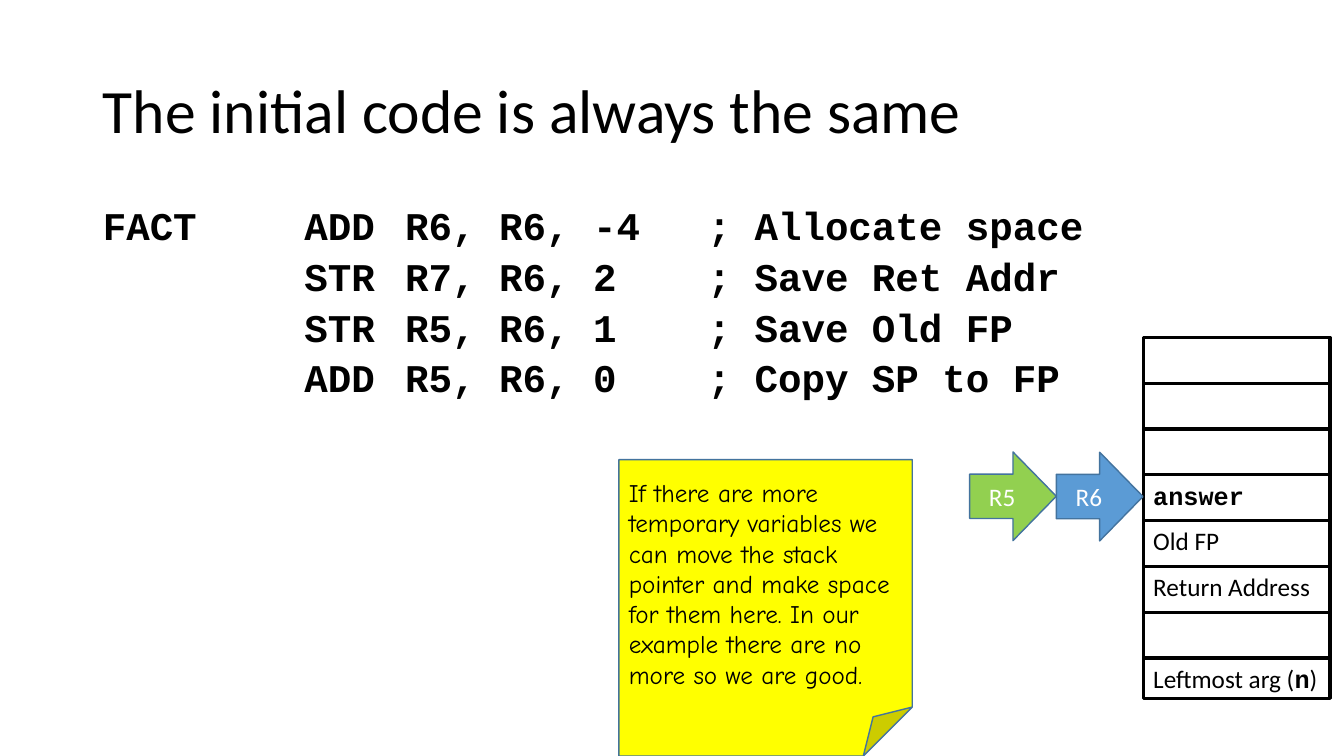
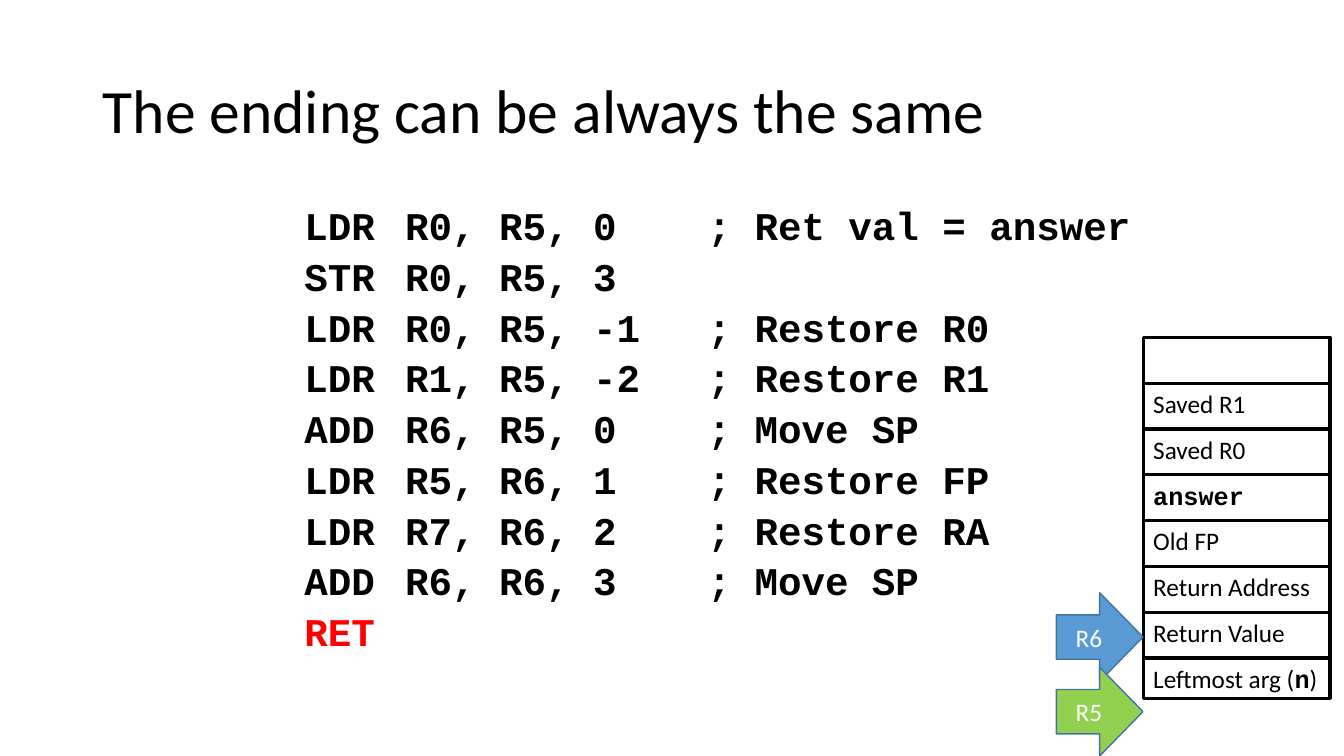
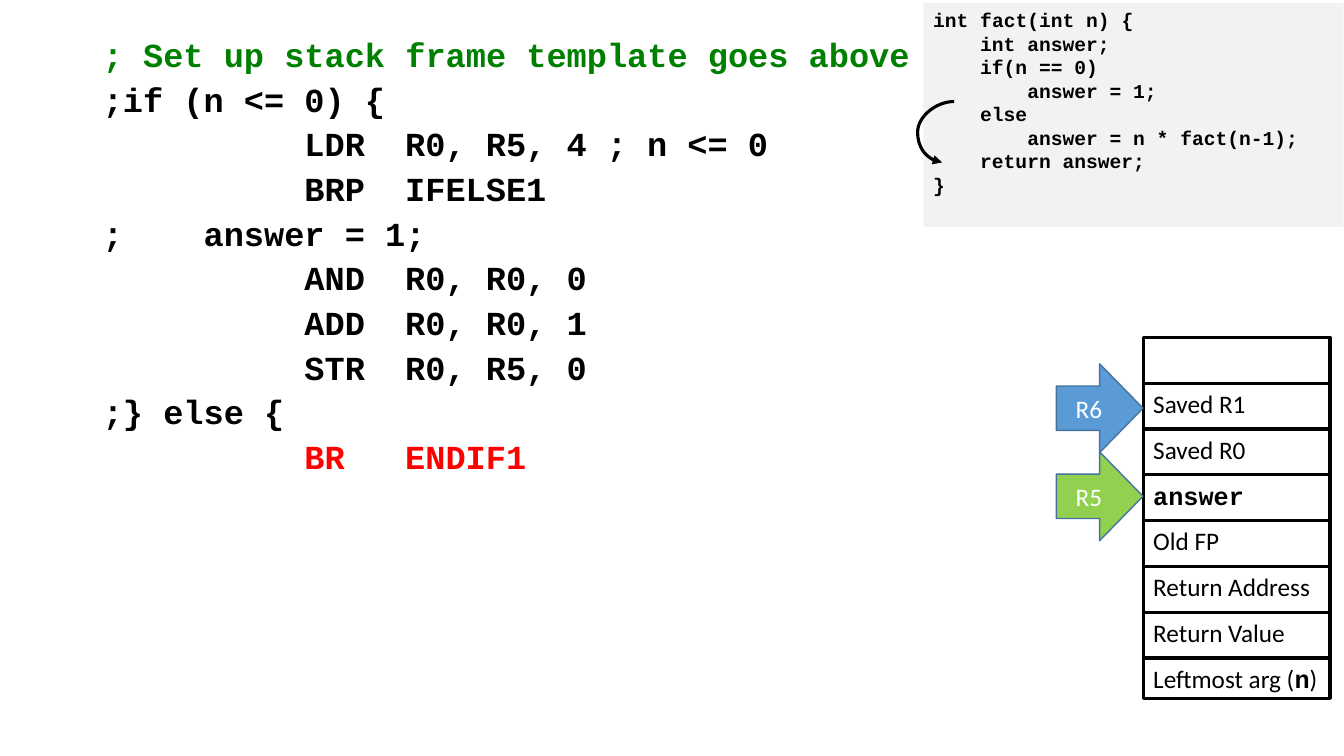
from lxml import etree
from pptx import Presentation
from pptx.dml.color import RGBColor
from pptx.enum.shapes import MSO_CONNECTOR, MSO_SHAPE
from pptx.enum.text import MSO_ANCHOR, MSO_AUTO_SIZE, PP_ALIGN
from pptx.oxml.ns import qn
from pptx.util import Pt

RECT, ARROW, NOTE = MSO_SHAPE.RECTANGLE, MSO_SHAPE.RIGHT_ARROW, MSO_SHAPE.FOLDED_CORNER
CURVE = MSO_CONNECTOR.CURVE
TOP, MIDDLE = MSO_ANCHOR.TOP, MSO_ANCHOR.MIDDLE
LEFT, CENTER = PP_ALIGN.LEFT, PP_ALIGN.CENTER
NO_FIT = MSO_AUTO_SIZE.NONE

BLACK = RGBColor(0x00, 0x00, 0x00)
WHITE = RGBColor(0xFF, 0xFF, 0xFF)
RED = RGBColor(0xFF, 0x00, 0x00)
CODE_GREEN = RGBColor(0x00, 0x80, 0x00)
POINTER_BLUE = RGBColor(0x5B, 0x9B, 0xD5)
POINTER_GREEN = RGBColor(0x92, 0xD0, 0x50)
OUTLINE = RGBColor(0x43, 0x73, 0x9E)
NOTE_YELLOW = RGBColor(0xFF, 0xFF, 0x00)
PANEL_GREY = RGBColor(0xF2, 0xF2, 0xF2)

SANS, MONO, HAND = "Calibri", "Courier New", "Comic Neue"
CODE = {"font": MONO, "bold": True}

# A line is a string or a list of (text, format) runs.
ANSWER = [("answer", CODE)]
LEFTMOST = ["Leftmost arg (", ("n", CODE), ")"]
EMPTY_FRAME = ["", "", "", ANSWER, "Old FP", "Return Address", "", LEFTMOST]
FULL_FRAME = ["", "Saved R1", "Saved R0", ANSWER, "Old FP", "Return Address",
              "Return Value", LEFTMOST]

NOTE_TEXT = ("If there are more temporary variables we can move the stack pointer and "
             "make space for them here. In our example there are no more so we are good.")

C_SOURCE = [  # indent level, statement
    (0, "int fact(int n) {"),
    (1, "int answer;"),
    (1, "if(n == 0)"),
    (2, "answer = 1;"),
    (1, "else"),
    (2, "answer = n * fact(n-1);"),
    (1, "return answer;"),
    (0, "}"),
]

# Pointers are (label, colour, left, top).
NEAR, FAR = 754.56, 692.64
SLIDES = [
    {
        "title": "The initial code is always the same",
        "body_box": (66.24, 144, 735.84, 342.72), "size": 28,
        "code": [
            "FACT\t\tADD\tR6, R6, -4\t; Allocate space",
            "\t\tSTR\tR7, R6, 2\t; Save Ret Addr",
            "\t\tSTR\tR5, R6, 1\t; Save Old FP",
            "\t\tADD\tR5, R6, 0\t; Copy SP to FP",
        ],
        "stack": EMPTY_FRAME,
        "pointers": [("R6", POINTER_BLUE, NEAR, 323),
                     ("R5", POINTER_GREEN, FAR, 322.8)],
    },
    {
        "title": "The ending can be always the same",
        "body_box": (66.24, 144, 803.52, 341.28), "size": 28,
        "code": [
            "\t\tLDR\tR0, R5, 0\t; Ret val = answer",
            "\t\tSTR\tR0, R5, 3",
            "\t\tLDR\tR0, R5, -1\t; Restore R0",
            "\t\tLDR\tR1, R5, -2\t; Restore R1",
            "\t\tADD\tR6, R5, 0\t; Move SP",
            "\t\tLDR\tR5, R6, 1\t; Restore FP",
            "\t\tLDR\tR7, R6, 2\t; Restore RA",
            "\t\tADD\tR6, R6, 3\t; Move SP",
            ["\t\t", ("RET", {"color": RED})],
        ],
        "stack": FULL_FRAME,
        "pointers": [("R6", POINTER_BLUE, NEAR, 423.36),
                     ("R5", POINTER_GREEN, NEAR, 476.64)],
    },
    {
        "title": None,
        "body_box": (66.24, 23.76, 626.4, 495.36), "size": 24,
        "code": [
            [("; Set up stack frame template goes above", {"color": CODE_GREEN})],
            ";if (n <= 0) {",
            "\t\tLDR\tR0, R5, 4\t; n <= 0",
            "\t\tBRP\tIFELSE1",
            ";\tanswer = 1;",
            "\t\tAND\tR0, R0, 0",
            "\t\tADD\tR0, R0, 1",
            "\t\tSTR\tR0, R5, 0",
            ";} else {",
            ["\t\t", ("BR\tENDIF1", {"color": RED})],
        ],
        "stack": FULL_FRAME,
        "pointers": [("R6", POINTER_BLUE, NEAR, 259.92),
                     ("R5", POINTER_GREEN, NEAR, 322.8)],
    },
]

TITLE_BOX = (66.24, 28.8, 735.84, 104.4)
STACK_LEFT, STACK_TOP, CELL_WIDTH, CELL_PITCH, LAST_HEIGHT = 816.7, 241.1, 133.4, 32.71, 28.8
POINTER_SIZE = (61.92, 63.36)
NOTE_BOX = (442.08, 328.32, 209.52, 211.68)
SOURCE_BOX = (659.52, 2.16, 300.24, 159.84)
SOURCE_INDENT = 33.6
JUMP_START, JUMP_END = (681.6, 72.5), (673, 116)
JUMP_BULGE = 304000
TAB_WIDTH = 72


def write(frame, lines, font=SANS, size=18, color=BLACK, bold=False, align=LEFT,
          anchor=TOP, spacing=None, before=None):
    """Fill a text frame with lines, and return its paragraphs."""
    frame.word_wrap = True
    frame.auto_size = NO_FIT
    frame.vertical_anchor = anchor
    for number, line in enumerate(lines):
        paragraph = frame.add_paragraph() if number else frame.paragraphs[0]
        paragraph.alignment = align
        if spacing is not None:
            paragraph.line_spacing = spacing
        if before is not None:
            paragraph.space_before = Pt(before)
        for part in [line] if isinstance(line, str) else line:
            text, own = (part, {}) if isinstance(part, str) else part
            run = paragraph.add_run()
            run.text = text
            run.font.name = own.get("font", font)
            run.font.size = Pt(size)
            run.font.bold = own.get("bold", bold)
            run.font.color.rgb = own.get("color", color)
    return frame.paragraphs


def place(shape, box):
    """Move and size a shape by its box in points."""
    shape.left, shape.top, shape.width, shape.height = map(Pt, box)


def add_box(slide, kind, box, fill=None, line=None, weight=1):
    """Add a preset shape without a shadow."""
    shape = slide.shapes.add_shape(kind, *map(Pt, box))
    shape.shadow.inherit = False
    if fill is None:
        shape.fill.background()
    else:
        shape.fill.solid()
        shape.fill.fore_color.rgb = fill
    if line is None:
        shape.line.fill.background()
    else:
        shape.line.color.rgb = line
        shape.line.width = Pt(weight)
    return shape


def set_indent(paragraph, left):
    """Set the left margin of a paragraph, with no hanging indent."""
    properties = paragraph._p.get_or_add_pPr()
    properties.set("marL", str(Pt(left)))
    properties.set("indent", "0")
    return properties


def set_master_tabs(deck):
    """Give the body text of the master its default tab width."""
    for style in deck.slide_master._element.iter(qn("p:bodyStyle")):
        for level in style:
            level.set("defTabSz", str(Pt(TAB_WIDTH)))


def add_code(body, lines, size):
    """Write assembly code without bullets, in columns of one tab width."""
    for paragraph in write(body.text_frame, lines, size=size, spacing=0.9, before=6, **CODE):
        properties = set_indent(paragraph, 0)
        properties.set("defTabSz", str(Pt(TAB_WIDTH)))
        etree.SubElement(properties, qn("a:buNone"))


def add_stack(slide, labels):
    """Draw the stack frame, one cell for each label."""
    for row, label in enumerate(labels):
        height = LAST_HEIGHT if row == len(labels) - 1 else CELL_PITCH
        box = (STACK_LEFT, STACK_TOP + row * CELL_PITCH, CELL_WIDTH, height)
        cell = add_box(slide, RECT, box, line=BLACK, weight=2.25)
        if label:
            write(cell.text_frame, [label])


def add_pointer(slide, register, fill, left, top):
    """Draw a register arrow that points at the stack."""
    pointer = add_box(slide, ARROW, (left, top, *POINTER_SIZE), fill, OUTLINE)
    write(pointer.text_frame, [register], color=WHITE, align=CENTER, anchor=MIDDLE)


def add_note(slide):
    """Add the sticky note."""
    note = add_box(slide, NOTE, NOTE_BOX, NOTE_YELLOW, OUTLINE)
    write(note.text_frame, [NOTE_TEXT], font=HAND, anchor=MIDDLE)


def add_source(slide):
    """Add the C source panel and the curved jump arrow."""
    panel = add_box(slide, RECT, SOURCE_BOX, PANEL_GREY)
    statements = write(panel.text_frame, [text for _, text in C_SOURCE], size=14, **CODE)
    for paragraph, (level, _) in zip(statements, C_SOURCE):
        set_indent(paragraph, level * SOURCE_INDENT)

    jump = slide.shapes.add_connector(CURVE, *map(Pt, JUMP_START + JUMP_END))
    jump.line.color.rgb = BLACK
    jump.line.width = Pt(2.25)
    etree.SubElement(jump.line._get_or_add_ln(), qn("a:tailEnd"), type="triangle")
    properties = jump._element.spPr
    etree.SubElement(properties, qn("a:effectLst"))
    adjustments = properties.find(qn("a:prstGeom")).find(qn("a:avLst"))
    etree.SubElement(adjustments, qn("a:gd"), name="adj1", fmla=f"val {JUMP_BULGE}")


def add_slide(deck, content):
    """Build what every slide has: title, code, stack and pointers."""
    slide = deck.slides.add_slide(deck.slide_layouts[1])
    title, body = slide.shapes.title, slide.placeholders[1]
    if content["title"]:
        place(title, TITLE_BOX)
        write(title.text_frame, [content["title"]], size=44, anchor=MIDDLE, spacing=0.9)
    else:
        title._element.getparent().remove(title._element)
    place(body, content["body_box"])
    add_code(body, content["code"], content["size"])
    add_stack(slide, content["stack"])
    for pointer in content["pointers"]:
        add_pointer(slide, *pointer)
    return slide


deck = Presentation()
deck.slide_width, deck.slide_height = Pt(960), Pt(540)
set_master_tabs(deck)
opening, ending, branch = [add_slide(deck, content) for content in SLIDES]
add_note(opening)
add_source(branch)
deck.save("out.pptx")
